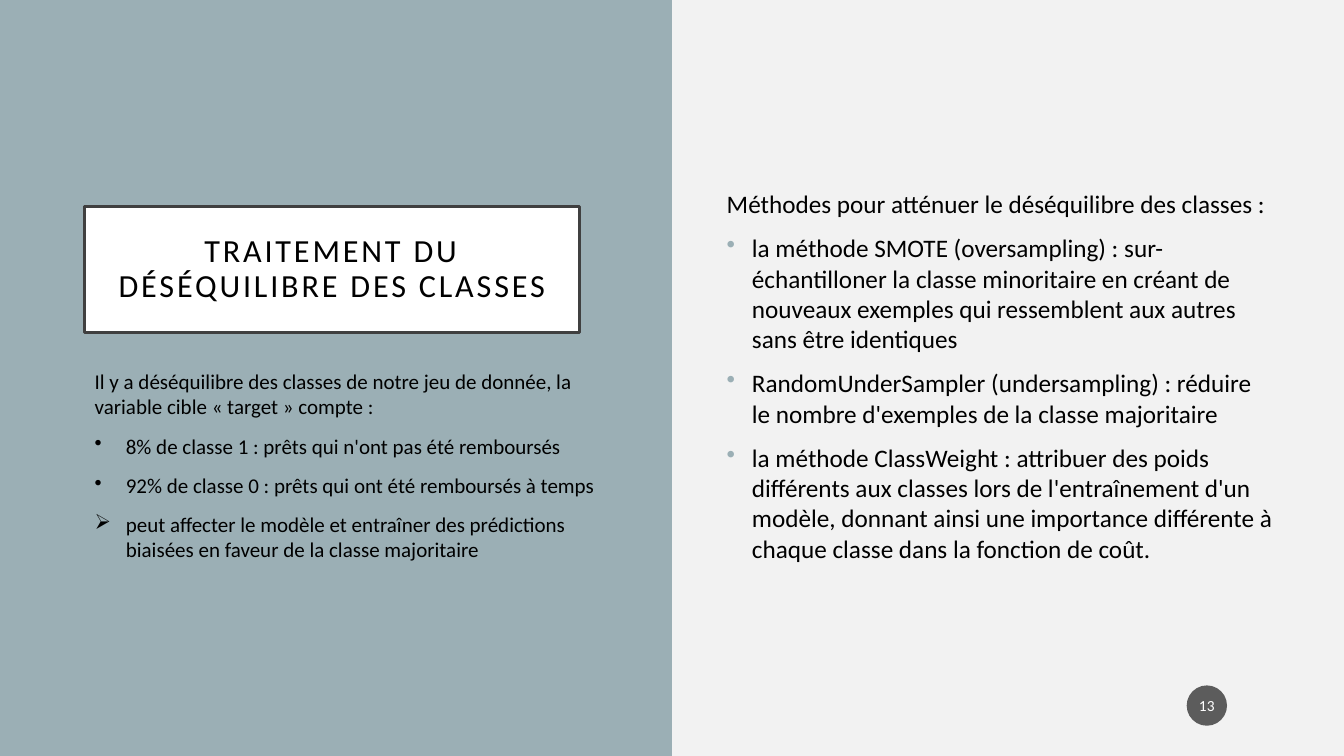
"""Build the slide on handling class imbalance."""
from lxml import etree
from pptx import Presentation
from pptx.dml.color import RGBColor
from pptx.enum.shapes import MSO_SHAPE
from pptx.enum.text import MSO_ANCHOR, PP_ALIGN
from pptx.oxml.ns import qn
from pptx.util import Inches, Pt

COLORS = {
    "background": "F2F2F2", "panel": "9BAFB5", "frame": "404040",
    "badge": "1D1D1D", "white": "FFFFFF", "black": "000000",
}
FONT = "Calibri"
SLIDE_SIZE = (13.33, 7.5)

TITLE = "TRAITEMENT DU DÉSÉQUILIBRE DES CLASSES"
PAGE_NUMBER = "13"
IMBALANCE = [
    ("", "Il y a déséquilibre des classes de notre jeu de donnée, la variable cible « target » compte :"),
    ("•", "8% de classe 1 : prêts qui n'ont pas été remboursés"),
    ("•", "92% de classe 0 : prêts qui ont été remboursés à temps"),
    ("➢", "peut affecter le modèle et entraîner des prédictions biaisées en faveur de la classe majoritaire"),
]
METHODS = [
    ("", "Méthodes pour atténuer le déséquilibre des classes :"),
    ("•", "la méthode SMOTE (oversampling) : sur-échantilloner la classe minoritaire en créant de "
          "nouveaux exemples qui ressemblent aux autres sans être identiques"),
    ("•", "RandomUnderSampler (undersampling) : réduire le nombre d'exemples de la classe majoritaire"),
    ("•", "la méthode ClassWeight : attribuer des poids différents aux classes lors de l'entraînement "
          "d'un modèle, donnant ainsi une importance différente à chaque classe dans la fonction de coût."),
]


def color(name):
    return RGBColor.from_string(COLORS[name])


def add_bullet(paragraph, character, bullet_color, indent):
    properties = paragraph._p.get_or_add_pPr()
    properties.set("marL", str(Inches(indent)))
    properties.set("indent", str(-Inches(indent)))
    bullet_fill = etree.SubElement(properties, qn("a:buClr"))
    etree.SubElement(bullet_fill, qn("a:srgbClr"), val=COLORS[bullet_color])
    etree.SubElement(properties, qn("a:buChar"), char=character)


def write_text(shape, items, size, text_color="black", align=PP_ALIGN.LEFT, anchor=MSO_ANCHOR.TOP,
               margins=(0.1, 0.05), line_spacing=1.0, letter_spacing=0,
               bullet_color="black", indent=0.25):
    frame = shape.text_frame
    frame.word_wrap = True
    frame.vertical_anchor = anchor
    frame.margin_left = frame.margin_right = Inches(margins[0])
    frame.margin_top = frame.margin_bottom = Inches(margins[1])
    for index, (bullet, text) in enumerate(items):
        paragraph = frame.add_paragraph() if index else frame.paragraphs[0]
        paragraph.alignment = align
        paragraph.line_spacing = line_spacing
        paragraph.space_before = Pt(10 if index else 0)
        if bullet:
            add_bullet(paragraph, bullet, bullet_color, indent)
        run = paragraph.add_run()
        run.text = text
        run.font.name = FONT
        run.font.size = Pt(size)
        run.font.color.rgb = color(text_color)
        if letter_spacing:
            run._r.get_or_add_rPr().set("spc", str(letter_spacing * 100))


def add_filled_shape(slide, kind, box, fill, line=None, line_width=2.5, opacity=100):
    shape = slide.shapes.add_shape(kind, *map(Inches, box))
    shape.shadow.inherit = False
    shape.fill.solid()
    shape.fill.fore_color.rgb = color(fill)
    if line:
        shape.line.color.rgb = color(line)
        shape.line.width = Pt(line_width)
    else:
        shape.line.fill.background()
    if opacity < 100:
        fill_color = shape._element.spPr.find(qn("a:solidFill"))[0]
        etree.SubElement(fill_color, qn("a:alpha"), val=str(opacity * 1000))
    return shape


def main():
    presentation = Presentation()
    width, height = SLIDE_SIZE
    presentation.slide_width, presentation.slide_height = Inches(width), Inches(height)
    slide = presentation.slides.add_slide(presentation.slide_layouts[6])
    slide.background.fill.solid()
    slide.background.fill.fore_color.rgb = color("background")

    add_filled_shape(slide, MSO_SHAPE.RECTANGLE, (0, 0, width / 2, height), "panel")
    centered = {"align": PP_ALIGN.CENTER, "anchor": MSO_ANCHOR.MIDDLE}
    title = add_filled_shape(slide, MSO_SHAPE.RECTANGLE, (0.84, 2.05, 4.91, 1.25), "white", line="frame")
    write_text(title, [("", TITLE)], 23, margins=(0.2, 0.2), line_spacing=0.9, letter_spacing=2, **centered)

    methods = slide.shapes.add_textbox(*map(Inches, (7.11, 1.82, 5.64, 4.71)))
    write_text(methods, METHODS, 18, bullet_color="panel")
    imbalance = slide.shapes.add_textbox(*map(Inches, (0.84, 3.61, 5.38, 2.34)))
    write_text(imbalance, IMBALANCE, 15, indent=0.31)

    badge = add_filled_shape(slide, MSO_SHAPE.OVAL, (11.77, 6.8, 0.4, 0.4), "badge", opacity=70)
    write_text(badge, [("", PAGE_NUMBER)], 11, text_color="white", margins=(0.02, 0.05), **centered)
    presentation.save("out.pptx")


if __name__ == "__main__":
    main()
